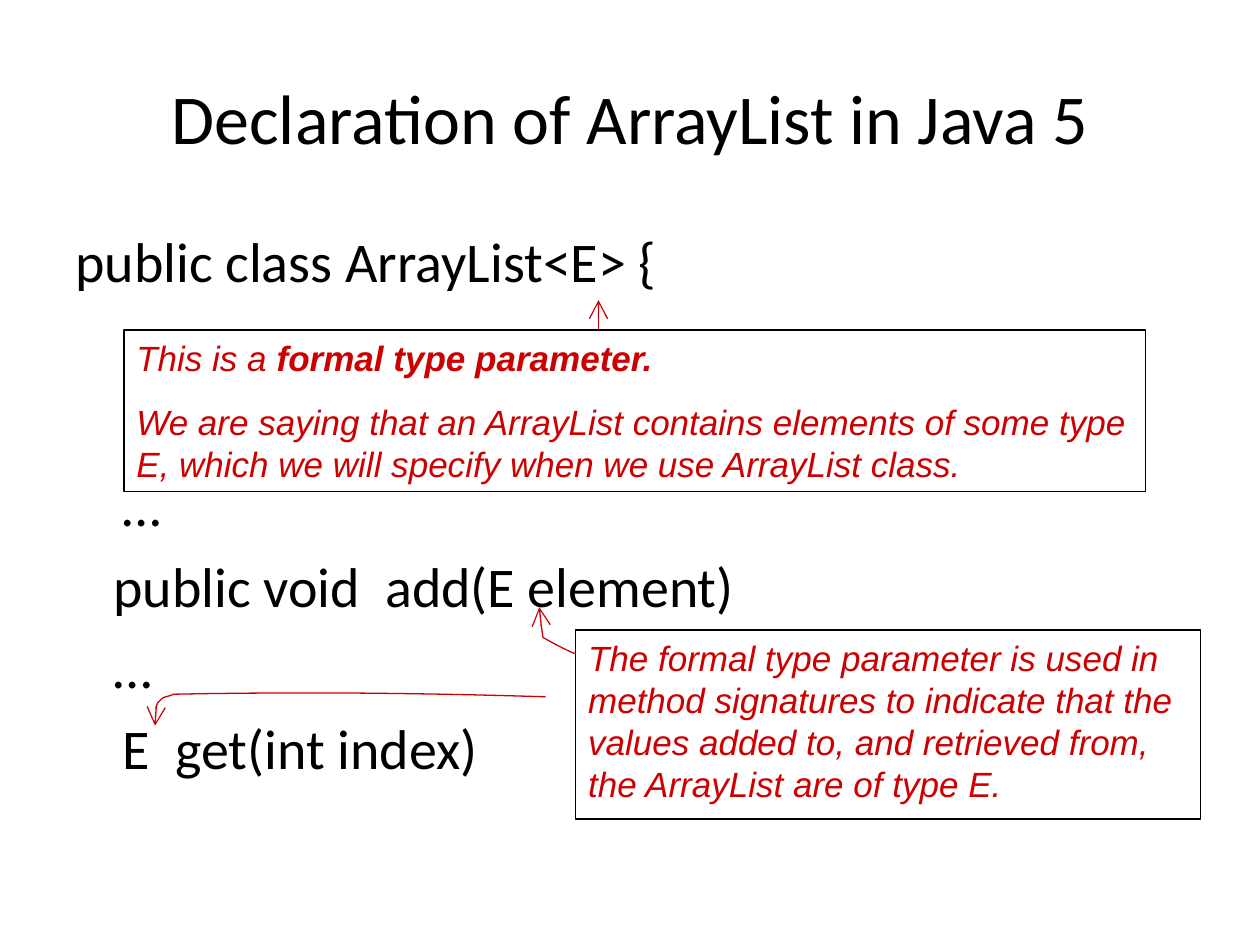
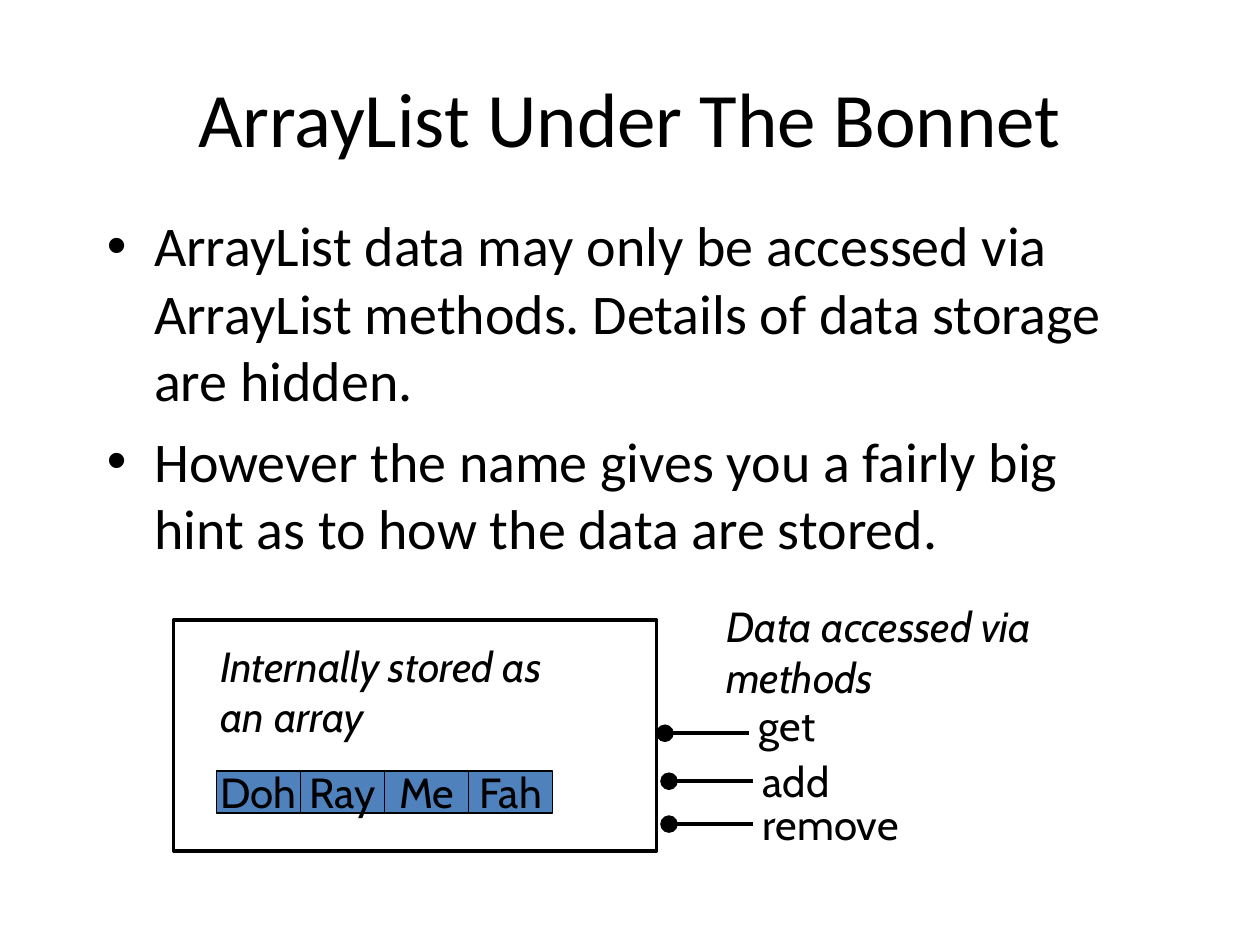
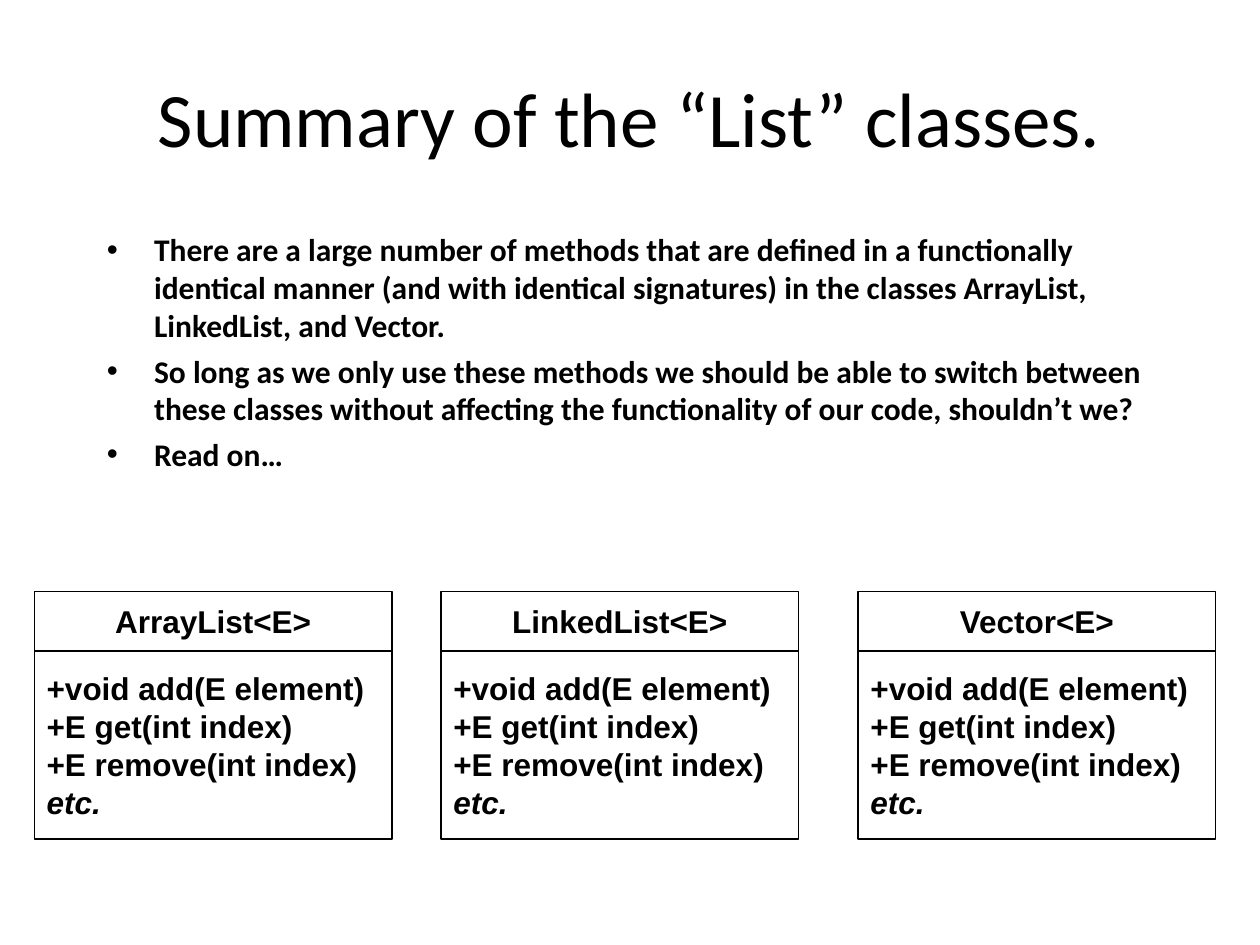
from lxml import etree
from pptx import Presentation
from pptx import util as u
from pptx.dml.color import RGBColor
from pptx.enum import shapes as es, text as et
from pptx.oxml.ns import qn

INK = {"black": "000000", "white": "FFFFFF", "red": "CC0000", "blue": "4F81BD"}
HANG = 27
METHODS = ["+void add(E element)", "+E get(int index)", "+E remove(int index)", "etc."]


def rgb(name):
    return RGBColor.from_string(INK[name])


def put(shape, lines, font, size, ink="black", bold=False, slant=False,
        align="LEFT", gap=0, anchor="TOP", wrap=True):
    """Write one paragraph per line and format its runs."""
    frame = shape.text_frame
    frame.text = "\n".join(lines)
    frame.word_wrap = wrap
    frame.vertical_anchor = et.MSO_ANCHOR[anchor]
    for i, para in enumerate(frame.paragraphs):
        para.alignment = et.PP_ALIGN[align]
        if i and gap:
            para.space_before = u.Pt(gap)
        for run in para.runs:
            style(run, font, size, ink, bold, slant)
    return frame.paragraphs


def style(run, font, size, ink, bold, slant):
    run.font.name, run.font.size = font, u.Pt(size)
    run.font.bold, run.font.italic = bold, slant
    run.font.color.rgb = rgb(ink)


def label(slide, area, lines, font, size, **look):
    area = [u.Pt(v) for v in area]
    return put(slide.shapes.add_textbox(*area), lines, font, size, **look)


def title(slide, words, size=44):
    label(slide, (36, 21.6, 648, 90), [words], "Calibri", size,
          align="CENTER", anchor="MIDDLE")


def hang(para, bullet=False):
    """Give a paragraph a hanging indent, with a bullet if asked."""
    props = para._p.get_or_add_pPr()
    props.set("marL", str(u.Pt(HANG)))
    props.set("indent", str(-u.Pt(HANG)))
    if bullet:
        etree.SubElement(props, qn("a:buFont"), typeface="Arial")
        etree.SubElement(props, qn("a:buChar"), char="•")


def points(slide, area, lines, size, gap, bold=False):
    for para in label(slide, area, lines, "Calibri", size, gap=gap, bold=bold):
        hang(para, bullet=True)


def box(home, area, fill=None, width=0.75):
    area = [u.Pt(v) for v in area]
    shape = home.shapes.add_shape(es.MSO_SHAPE.RECTANGLE, *area)
    shape.shadow.inherit = False
    if fill:
        shape.fill.solid()
        shape.fill.fore_color.rgb = rgb(fill)
    else:
        shape.fill.background()
    outline(shape, "black", width)
    return shape


def outline(shape, ink, width, **ends):
    """Set the line and its end marks (headEnd, tailEnd)."""
    shape.line.color.rgb = rgb(ink)
    shape.line.width = u.Pt(width)
    ln = shape._element.spPr.find(qn("a:ln"))
    for end, kind in ends.items():
        etree.SubElement(ln, qn("a:" + end), type=kind, w="lg", len="lg")


def line(slide, start, stop, ink, width, **ends):
    spots = [u.Pt(v) for v in (*start, *stop)]
    link = slide.shapes.add_connector(es.MSO_CONNECTOR.STRAIGHT, *spots)
    outline(link, ink, width, **ends)
    etree.SubElement(link._element.spPr, qn("a:effectLst"))


def curve(slide, start, *bends, steps=10):
    """Draw a red arrow along cubic bends, each given by three points."""
    path, last = [], start
    for bend in bends:
        knots = (last, *bend)
        for i in range(1, steps + 1):
            t = i / steps
            parts = ((1 - t) ** 3, 3 * t * (1 - t) ** 2, 3 * t * t * (1 - t), t ** 3)
            path.append([u.Pt(sum(w * k[axis] for w, k in zip(parts, knots)))
                         for axis in (0, 1)])
        last = bend[-1]
    pen = slide.shapes.build_freeform(u.Pt(start[0]), u.Pt(start[1]))
    pen.add_line_segments(path, close=False)
    shape = pen.convert_to_shape()
    shape.shadow.inherit = False
    shape.fill.background()
    outline(shape, "red", 0.75, tailEnd="arrow")


def declare(slide):
    title(slide, "Declaration of ArrayList in Java 5", 40)

    # Code, with room left for the first note
    code = ["public class ArrayList<E> {", "\t…", "   public void  add(E element)",
            "   …", "\tE  get(int index)"]
    paras = label(slide, (36, 126, 648, 356.4), code, "Calibri", 32, gap=8)
    for para in paras:
        hang(para)
    paras[1].space_before = u.Pt(100.8)

    # Notes
    note = box(slide, (70.8, 188.6, 583.9, 92.2))
    paras = put(note, ["This is a ", "We are saying that an ArrayList contains elements of "
                       "some type E, which we will specify when we use ArrayList class."],
                "Arial", 20, ink="red", slant=True, gap=12.5)
    term = paras[0].add_run()
    term.text = "formal type parameter."
    style(term, "Arial", 20, "red", True, True)
    note = box(slide, (329, 360, 357.1, 108))
    put(note, ["The formal type parameter is used in method signatures to indicate that "
               "the values added to, and retrieved from, the ArrayList are of type E."],
        "Arial", 20, ink="red", slant=True)

    # Arrows from the notes to the code
    line(slide, (342, 188), (342, 171.5), "red", 0.75, tailEnd="arrow")
    curve(slide, (311.8, 398.2),
          ((241, 396), (170.6, 395.3), (99.4, 396.7)),
          ((91.4, 399.6), (94.3, 397.4), (90, 401.8)),
          ((87.8, 408.2), (88.6, 405.4), (88.6, 414.7)))
    curve(slide, (329, 373.7),
          ((324.7, 372.2), (315.4, 367.2), (310.3, 364.3)),
          ((309.6, 358.6), (308.2, 352.8), (308.2, 347)))


def bonnet(slide):
    box(slide, (99.2, 354.2, 276, 132), "white", 2)
    title(slide, "ArrayList Under The Bonnet")
    points(slide, (54, 117, 612, 216),
           ["ArrayList data may only be accessed via ArrayList methods. "
            "Details of data storage are hidden.",
            "However the name gives you a fairly big hint as to how the data are stored."],
           32, 8)

    # Methods reached from outside
    for name, left, level, top in (("get", 380, 419, 396), ("add", 382.3, 446.4, 428.4),
                                   ("remove", 382.3, 470.9, 452.9)):
        line(slide, (left, level), (left + 48.2, level), "black", 2, headEnd="oval")
        label(slide, (left + 46.5, top, 101.5, 36), [name], "Cabin", 24)
    label(slide, (408, 339.8, 258, 65), ["Data accessed via methods"],
          "Cabin", 24, slant=True)

    # Array cells
    row = slide.shapes.add_group_shape()
    for i, word in enumerate(("Doh", "Ray", "Me", "Fah")):
        cell = box(row, (123.8 + 48 * i, 440.6, 48, 24), "blue")
        put(cell, [word], "Cabin", 24, align="CENTER", anchor="MIDDLE", wrap=False)
    label(slide, (118.8, 362.2, 221.8, 65), ["Internally stored as an array"],
          "Cabin", 24, slant=True)


def summary(slide):
    title(slide, "Summary of the “List” classes.")
    points(slide, (54, 128, 612, 176.4),
           ["There are a large number of methods that are defined in a functionally "
            "identical manner (and with identical signatures) in the classes ArrayList, "
            "LinkedList, and Vector.",
            "So long as we only use these methods we should be able to switch between "
            "these classes without affecting the functionality of our code, shouldn’t we?",
            "Read on…"], 18, 4.5, bold=True)

    # Class diagrams
    for name, left in (("ArrayList", 19.6), ("LinkedList", 252), ("Vector", 490.3)):
        head = box(slide, (left, 337.8, 204.5, 34.2))
        put(head, [name + "<E>"], "Arial", 18, bold=True, align="CENTER", anchor="MIDDLE")
        body = box(slide, (left, 372, 204.5, 107.5))
        paras = put(body, METHODS, "Arial", 18, bold=True, anchor="MIDDLE")
        paras[-1].runs[0].font.italic = True


def main():
    deck = Presentation()
    deck.slide_width, deck.slide_height = u.Pt(720), u.Pt(540)
    for build in (declare, bonnet, summary):
        build(deck.slides.add_slide(deck.slide_layouts[6]))
    deck.save("out.pptx")


if __name__ == "__main__":
    main()
